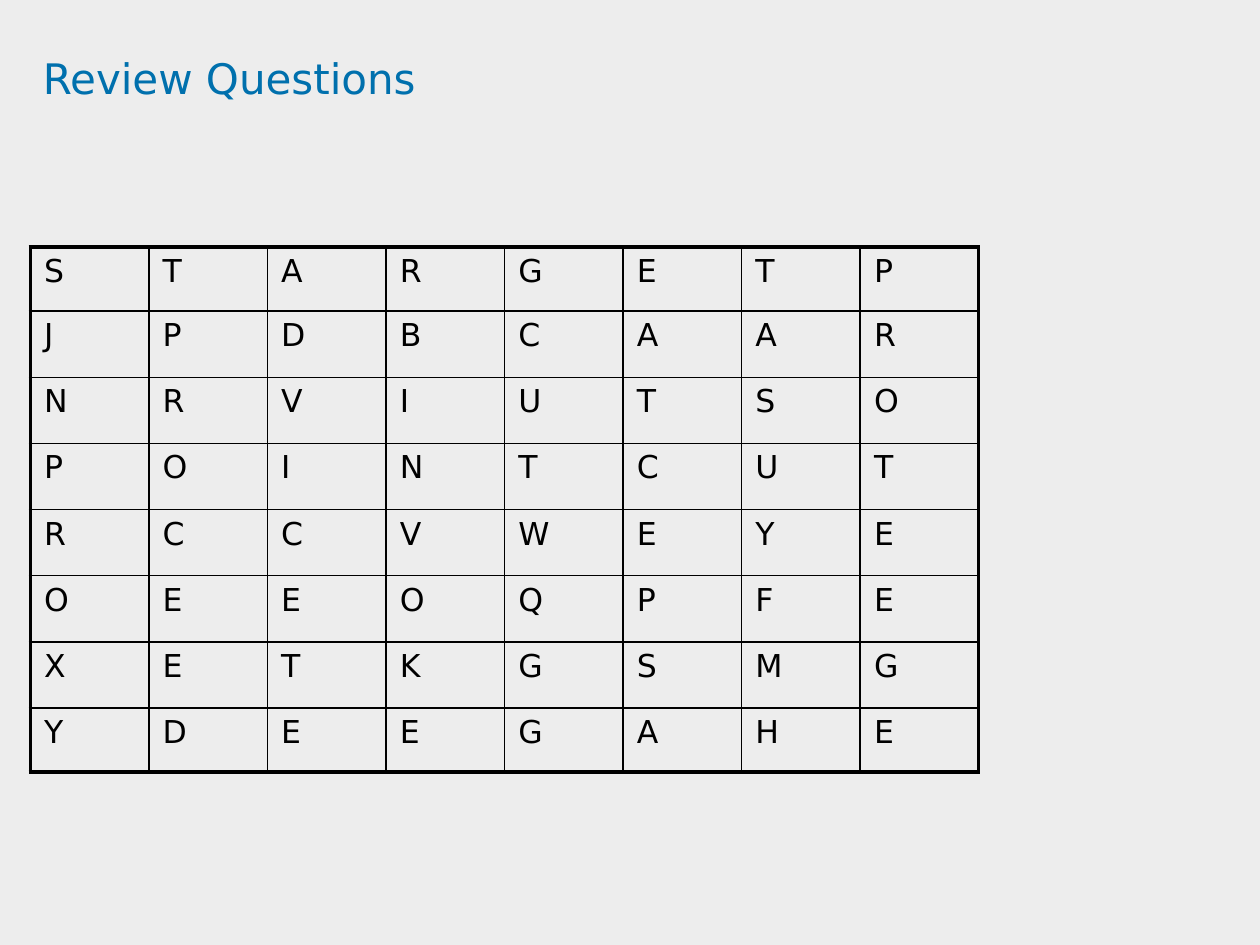
"""Build a review slide with a word-search grid."""
from lxml import etree
from pptx import Presentation
from pptx.dml.color import RGBColor
from pptx.enum.text import MSO_ANCHOR, MSO_AUTO_SIZE, PP_ALIGN
from pptx.oxml.ns import qn
from pptx.util import Inches, Pt

TOP = MSO_ANCHOR.TOP
LEFT = PP_ALIGN.LEFT
NO_AUTOFIT = MSO_AUTO_SIZE.NONE

TITLE = "Review Questions"
LETTER_ROWS = [
    "STARGETP",
    "JPDBCAAR",
    "NRVIUTSO",
    "POINTCUT",
    "RCCVWEYE",
    "OEEOQPFE",
    "XETKGSMG",
    "YDEEGAHE",
]

COLORS = {"background": "EDEDED", "title": "0070AD", "ink": "000000"}
FONT = "DejaVu Sans"
SLIDE_SIZE = (10, 7.5)
TITLE_BOX = (0.34, 0.46, 7.72, 0.46)
GRID_BOX = (0.24, 1.96, 7.53, 4.17)
EDGE_ROW_HEIGHT = 0.51
OUTER_LINE, INNER_LINE = 2.25, 1


def write_text(frame, text, size, color, line_spacing=1.0):
    """Put one formatted paragraph into a text frame."""
    frame.text = text
    paragraph = frame.paragraphs[0]
    paragraph.alignment = LEFT
    paragraph.line_spacing = line_spacing
    paragraph.space_before = Pt(0)
    font = paragraph.runs[0].font
    font.name = FONT
    font.size = Pt(size)
    font.color.rgb = RGBColor.from_string(COLORS[color])


def add_borders(cell, widths):
    """Draw the cell sides, given as a dict of side to width in points."""
    properties = cell._tc.get_or_add_tcPr()
    for side in "LRTB":
        line = etree.SubElement(properties, qn(f"a:ln{side}"), w=str(Pt(widths[side])))
        fill = etree.SubElement(line, qn("a:solidFill"))
        etree.SubElement(fill, qn("a:srgbClr"), val=COLORS["ink"])


def add_title(slide):
    """Place and format the title placeholder."""
    title = slide.shapes.title
    title.left, title.top, title.width, title.height = map(Inches, TITLE_BOX)
    frame = title.text_frame
    frame.margin_left = frame.margin_right = frame.margin_top = frame.margin_bottom = 0
    frame.vertical_anchor = TOP
    frame.auto_size = NO_AUTOFIT
    frame.word_wrap = True
    write_text(frame, TITLE, size=24, color="title", line_spacing=0.9)


def add_letter_grid(slide):
    """Add the letter table with a heavy outer frame."""
    row_count, column_count = len(LETTER_ROWS), len(LETTER_ROWS[0])
    last_row, last_column = row_count - 1, column_count - 1
    table = slide.shapes.add_table(row_count, column_count, *map(Inches, GRID_BOX)).table
    table.first_row = table.horz_banding = False
    width, height = GRID_BOX[2:]
    inner_height = (height - 2 * EDGE_ROW_HEIGHT) / (row_count - 2)
    for column in table.columns:
        column.width = Inches(width / column_count)
    for row_index, letters in enumerate(LETTER_ROWS):
        is_edge = row_index in (0, last_row)
        table.rows[row_index].height = Inches(EDGE_ROW_HEIGHT if is_edge else inner_height)
        for column_index, letter in enumerate(letters):
            cell = table.cell(row_index, column_index)
            on_frame = {
                "L": column_index == 0,
                "R": column_index == last_column,
                "T": row_index == 0,
                "B": row_index == last_row,
            }
            add_borders(cell, {side: OUTER_LINE if outer else INNER_LINE
                               for side, outer in on_frame.items()})
            cell.fill.background()
            cell.margin_left = cell.margin_right = Inches(0.11)
            cell.margin_top = cell.margin_bottom = Inches(0.05)
            cell.vertical_anchor = TOP
            write_text(cell.text_frame, letter, size=18, color="ink")


def main():
    """Create and save the presentation."""
    presentation = Presentation()
    presentation.slide_width, presentation.slide_height = map(Inches, SLIDE_SIZE)
    slide = presentation.slides.add_slide(presentation.slide_layouts.get_by_name("Title Only"))
    background = slide.background.fill
    background.solid()
    background.fore_color.rgb = RGBColor.from_string(COLORS["background"])
    add_title(slide)
    add_letter_grid(slide)
    presentation.save("out.pptx")


if __name__ == "__main__":
    main()
